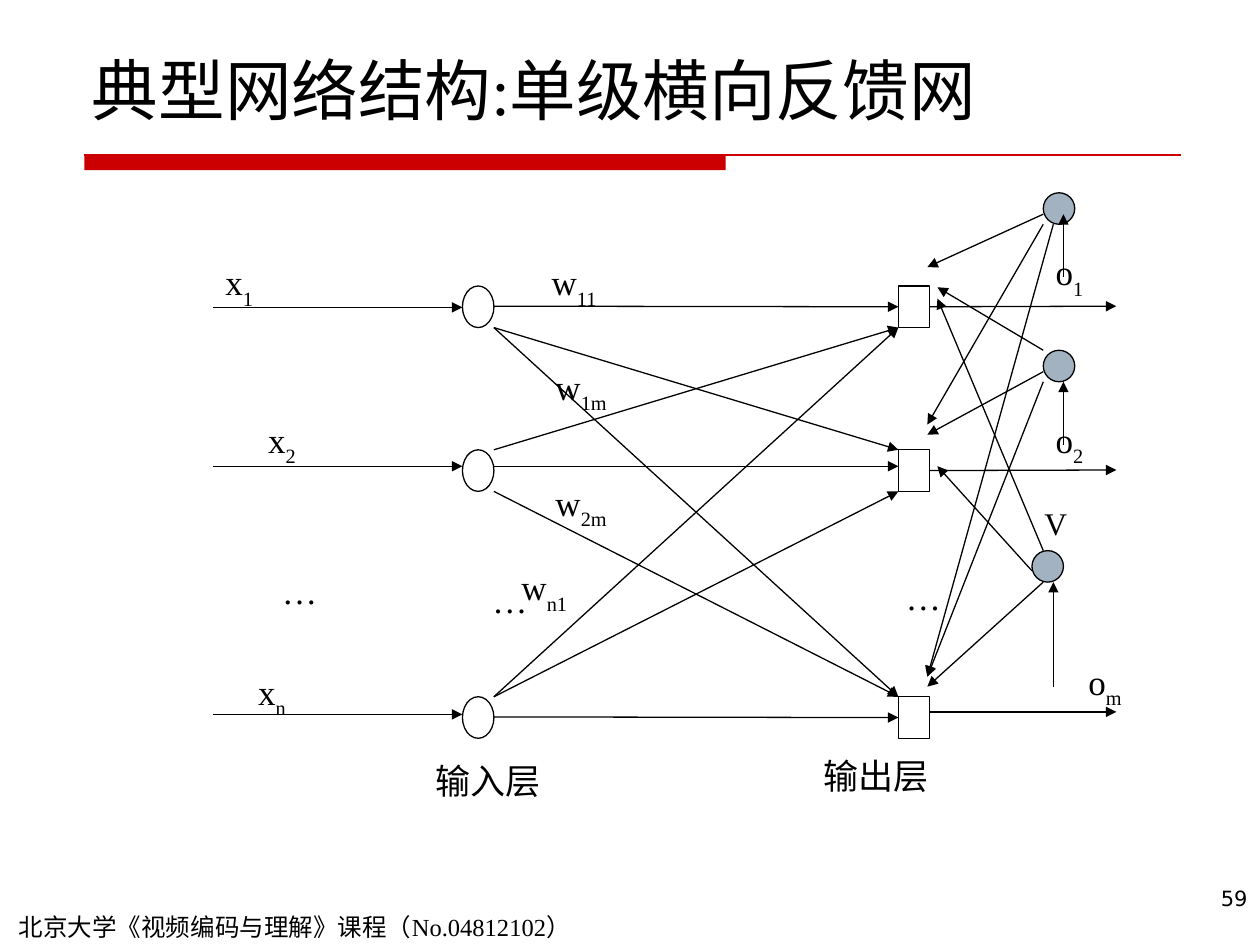
import dataclasses
import lxml.etree
import pptx
import pptx.dml.color
import pptx.enum.shapes
import pptx.enum.text
import pptx.oxml.ns
import pptx.util

Inches = pptx.util.Inches
Pt = pptx.util.Pt
Kind = pptx.enum.shapes.MSO_SHAPE
Align = pptx.enum.text.PP_ALIGN
qn = pptx.oxml.ns.qn


@dataclasses.dataclass(frozen=True)
class Theme:
    """Hold the colours, fonts and sizes of the slide."""
    ink: str = "000000"
    paper: str = "FFFFFF"
    red: str = "CC0000"
    grey: str = "A3B2C1"
    serif: str = "Times New Roman"
    sans: str = "DejaVu Sans"
    title: float = 38
    label: float = 20
    mark: float = 18
    foot: float = 14
    page: float = 12
    line: float = 0.75


THEME = Theme()


def color(code):
    """Turn a hex code into a colour."""
    return pptx.dml.color.RGBColor.from_string(code)


def add_run(par, words, size, font=THEME.serif, sub=False):
    """Add one formatted run to a paragraph."""
    run = par.add_run()
    run.text = words
    run.font.size = Pt(size)
    run.font.name = font
    run.font.color.rgb = color(THEME.ink)
    if sub:
        run.font._element.set("baseline", "-30000")


def add_text(slide, box, words, size, sub="", font=THEME.serif, wrap=True, align=Align.LEFT):
    """Place a text box, with an optional subscript."""
    frame = slide.shapes.add_textbox(*map(Inches, box)).text_frame
    frame.word_wrap = wrap
    par = frame.paragraphs[0]
    par.alignment = align
    add_run(par, words, size, font)
    if sub:
        add_run(par, sub, size, font, sub=True)


def add_node(slide, kind, box, fill, line=THEME.ink):
    """Place a filled and outlined shape."""
    node = slide.shapes.add_shape(kind, *map(Inches, box))
    node.shadow.inherit = False
    node.fill.solid()
    node.fill.fore_color.rgb = color(fill)
    if line:
        node.line.color.rgb = color(line)
        node.line.width = Pt(THEME.line)
    else:
        node.line.fill.background()
    return node


def add_line(slide, start, end, ink=THEME.ink, head=True):
    """Draw a straight line, with an arrowhead at its end."""
    line = slide.shapes.add_connector(
        pptx.enum.shapes.MSO_CONNECTOR.STRAIGHT, *map(Inches, (*start, *end)))
    line.line.color.rgb = color(ink)
    line.line.width = Pt(THEME.line)
    props = line._element.spPr
    if head:
        lxml.etree.SubElement(props.find(qn("a:ln")), qn("a:tailEnd"), type="triangle")
    lxml.etree.SubElement(props, qn("a:effectLst"))
    return line


def add_title(slide, box, words):
    """Fill and place the title."""
    title = slide.shapes.title
    title.left, title.top, title.width, title.height = map(Inches, box)
    frame = title.text_frame
    frame.auto_size = pptx.enum.text.MSO_AUTO_SIZE.NONE
    frame.vertical_anchor = pptx.enum.text.MSO_ANCHOR.BOTTOM
    par = frame.paragraphs[0]
    par.alignment = Align.LEFT
    add_run(par, words, THEME.title)


def add_rule(slide, box):
    """Draw the thick and thin red rule below the title."""
    x, y, wide, high = box
    add_node(slide, Kind.RECTANGLE, (x, y, 5.09, high), THEME.red, None)
    add_line(slide, (x, y), (x + wide, y), THEME.red, head=False)


def add_foot(slide, box):
    """Place the course name and the page number."""
    x, y, wide, high = box
    add_text(slide, (x, y + 0.21, 4.95, 0.34), "北京大学《视频编码与理解》课程（No.04812102）", THEME.foot)
    add_text(slide, (x + wide - 2.14, y, 2.14, high), "59", THEME.page,
             font=THEME.sans, align=Align.RIGHT)


def add_net(slide, box):
    """Draw the input and output layers and their links."""
    x, y, wide, high = box
    node_w, node_h = 0.25, 0.33
    left, right = x + 1.98, x + 5.44
    rows = [y + 0.25, y + 1.55, y + 3.51]
    flows = [(0.42, 0.41, 0.41), (1.68, 1.68, 1.71), (3.65, 3.67, 3.63)]

    for top, (enter, link, leave) in zip(rows, flows):
        add_node(slide, Kind.OVAL, (left, top, node_w, node_h), THEME.paper)
        unit = add_node(slide, Kind.RECTANGLE, (right, top, node_w, node_h), THEME.paper)
        mid = top + node_h / 2
        add_line(slide, (x, y + enter), (left, y + enter))
        inner = add_line(slide, (left + node_w, y + link), (right, y + link))
        outer = add_line(slide, (right + node_w, y + leave), (x + wide, y + leave))
        if abs(y + link - mid) < 0.02:
            inner.end_connect(unit, 1)
        if abs(y + leave - mid) < 0.02:
            outer.begin_connect(unit, 3)

    for i, top in enumerate(rows):
        for j, goal in enumerate(rows):
            if i != j:
                start = top + node_h if i < j else top
                end = goal if i < j else goal + node_h
                add_line(slide, (left + node_w, start), (right, end))

    labels = [
        ("x", "1", 0, 0, 0.83), ("x", "2", 0.34, 1.25, 0.42), ("x", "n", 0.26, 3.25, 0.42),
        ("o", "1", 6.59, -0.08, 0.42), ("o", "2", 6.59, 1.25, 0.42), ("o", "m", 6.85, 3.17, 0.5),
        ("w", "11", 2.59, 0, 0.56), ("w", "1m", 2.62, 0.83, 0.61),
        ("w", "2m", 2.62, 1.75, 0.61), ("w", "n1", 2.35, 2.42, 0.56),
        ("…", "", 0.45, 2.45, 0.48), ("…", "", 2.12, 2.52, 0.48), ("…", "", 5.4, 2.5, 0.48),
        ("输入层", "", 1.67, 3.96, 1.2), ("输出层", "", 4.75, 3.92, 1.42),
    ]
    for words, sub, dx, dy, span in labels:
        add_text(slide, (x + dx, y + dy, span, 0.5 if sub else 0.44), words,
                 THEME.label, sub, wrap=span > 0.7 or sub == "m")


def add_back(slide, box):
    """Draw the lateral feedback nodes and their arrows."""
    x, y, wide, high = box
    size = 0.25
    for dx, dy in [(0.92, 0), (0.92, 1.25), (0.83, 2.84)]:
        add_node(slide, Kind.OVAL, (x + dx, y + dy, size, size), THEME.grey)
    arrows = [
        (1.08, 0.67, 1.08, 0.17), (1.08, 2, 1.08, 1.5), (1, 3.92, 1, 3.09),
        (0.92, 0.17, 0, 0.59), (0.92, 0.25, 0, 1.84), (1, 0.25, 0, 3.84),
        (0.92, 1.25, 0.08, 0.75), (0.92, 1.42, 0, 1.92), (0.92, 1.5, 0, 3.84),
        (0.92, 2.84, 0.08, 0.84), (0.83, 3, 0.08, 2.17), (0.92, 3.09, 0, 3.92),
    ]
    for ax, ay, bx, by in arrows:
        add_line(slide, (x + ax, y + ay), (x + bx, y + by))
    add_text(slide, (x + 0.83, y + 2.42, 0.58, 0.4), "V", THEME.mark)


def main():
    """Build and save the slide."""
    deck = pptx.Presentation()
    deck.slide_width, deck.slide_height = Inches(10), Inches(7.5)
    slide = deck.slides.add_slide(deck.slide_layouts[5])
    add_rule(slide, (0.67, 1.23, 8.7, 0.12))
    add_foot(slide, (0.05, 6.98, 9.95, 0.52))
    add_net(slide, (1.69, 2.02, 7.17, 4.4))
    add_back(slide, (7.36, 1.53, 1.41, 3.92))
    add_title(slide, (0.63, 0.33, 8.75, 0.74), "典型网络结构:单级横向反馈网")
    deck.save("out.pptx")


if __name__ == "__main__":
    main()
